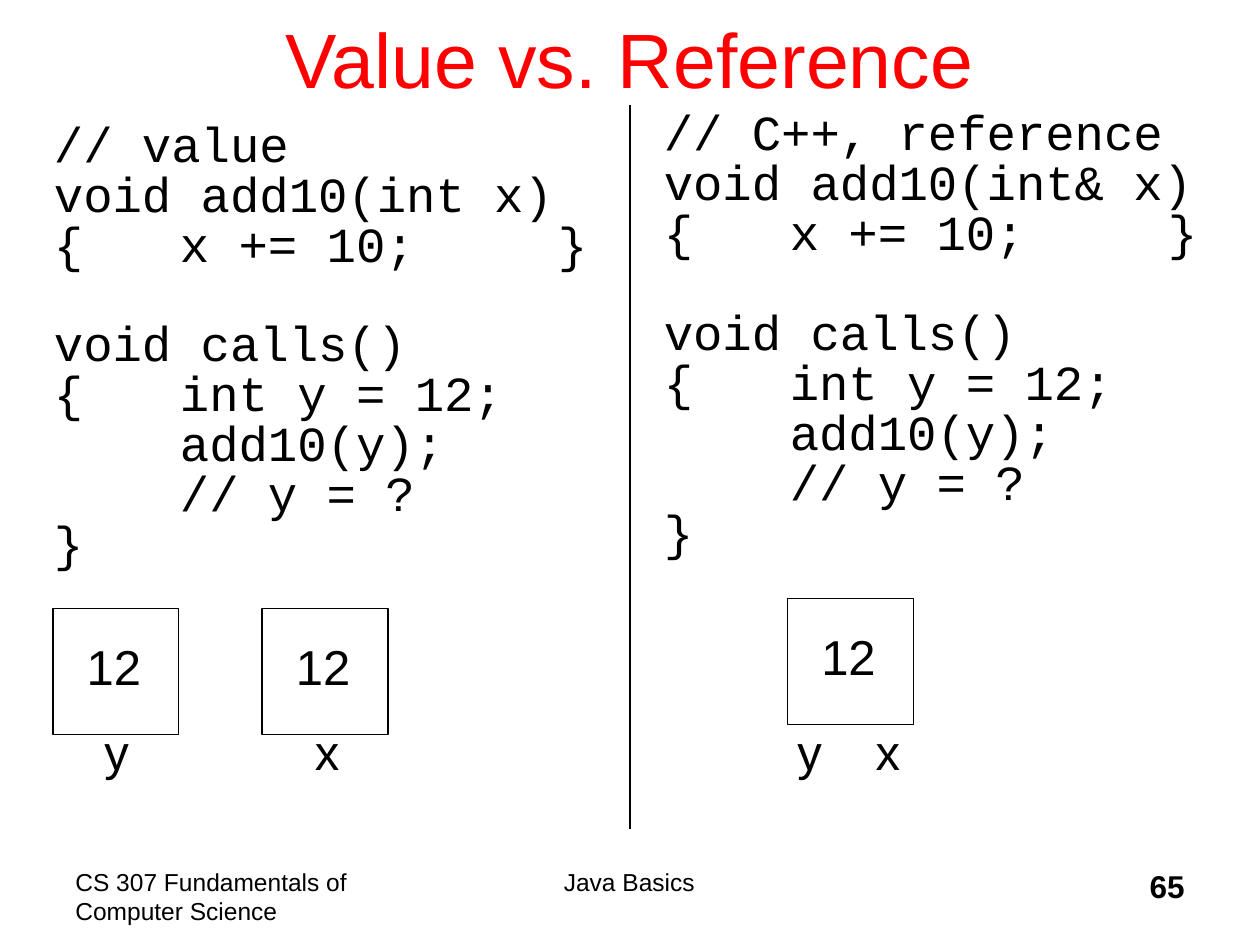
from pptx import Presentation
from pptx.dml.color import RGBColor
from pptx.enum.shapes import MSO_CONNECTOR, MSO_SHAPE
from pptx.enum.text import MSO_ANCHOR, MSO_AUTO_SIZE, PP_ALIGN
from pptx.oxml.ns import qn
from pptx.util import Inches, Pt
from lxml.etree import SubElement

COLORS = {"ink": "000000", "title": "FF0000"}

BODY_LINES = ["{\tx += 10;\t\t}", "void calls()", "{\tint y = 12;",
              "\tadd10(y);", "\t// y = ?", "}"]


class SlideBuilder:
    font = "Arial"
    code_font = "Courier New"
    size = 28
    line_width = Pt(0.75)

    def __init__(self, slide):
        self.slide = slide

    def color(self, name):
        return RGBColor.from_string(COLORS[name])

    def text(self, lines, left, top, width, height, size=size, font=font,
             color="ink", bold=False, align=PP_ALIGN.LEFT, wrap=True,
             grow=False, shapes=None):
        """Add a text box with one paragraph per line and return its frame."""
        shapes = shapes or self.slide.shapes
        tf = shapes.add_textbox(Inches(left), Inches(top),
                                Inches(width), Inches(height)).text_frame
        tf.word_wrap = wrap
        tf.auto_size = MSO_AUTO_SIZE.SHAPE_TO_FIT_TEXT if grow else MSO_AUTO_SIZE.NONE
        for i, line in enumerate(lines):
            p = tf.paragraphs[0] if i == 0 else tf.add_paragraph()
            p.alignment = align
            r = p.add_run()
            r.text = line
            r.font.size = Pt(size)
            r.font.name = font
            r.font.bold = bold
            r.font.color.rgb = self.color(color)
        return tf

    def title(self, text):
        tf = self.text([text], 0.75, -0.17, 8.5, 1.25, size=44,
                       color="title", align=PP_ALIGN.CENTER)
        tf.vertical_anchor = MSO_ANCHOR.MIDDLE

    def code(self, lines, left, top):
        """Add a code listing with a tab stop at every inch."""
        tf = self.text(lines, left, top, 4.52, 3.67, font=self.code_font, grow=True)
        for p in tf.paragraphs:
            p.line_spacing = 0.85
            if p.text == "void calls()":
                p.space_before = Pt(28.5)
            tabs = SubElement(p._p.get_or_add_pPr(), qn("a:tabLst"))
            for inch in range(8):
                SubElement(tabs, qn("a:tab"), pos=str(Inches(inch)), algn="l")

    def divider(self, x, top, bottom):
        line = self.slide.shapes.add_connector(
            MSO_CONNECTOR.STRAIGHT, Inches(x), Inches(top), Inches(x), Inches(bottom))
        line.line.color.rgb = self.color("ink")
        line.line.width = self.line_width
        SubElement(line._element.spPr, qn("a:effectLst"))

    def label(self, text, left, top, width, shapes):
        tf = self.text([text], left, top, width, 0.57, wrap=False, grow=True,
                       shapes=shapes)
        tf.paragraphs[0].space_before = Pt(7)

    def variable(self, value, left, top, names):
        """Group a memory cell with its value and names, given as {name: offset}."""
        shapes = self.slide.shapes.add_group_shape().shapes
        sp = shapes.add_shape(MSO_SHAPE.RECTANGLE, Inches(left), Inches(top),
                              Inches(1), Inches(1))
        sp.shadow.inherit = False
        sp.fill.background()
        sp.line.color.rgb = self.color("ink")
        sp.line.width = self.line_width
        self.label(value, left + 0.17, top + 0.17, 0.63, shapes)
        for name, offset in names.items():
            self.label(name, left + offset, 5.68, 0.39, shapes)


def main():
    prs = Presentation()
    prs.slide_width, prs.slide_height = Inches(10), Inches(7.5)
    s = SlideBuilder(prs.slides.add_slide(prs.slide_layouts[6]))

    s.text(["CS 307 Fundamentals of Computer Science"], 0.5, 6.83, 2.5, 0.5, size=14)
    s.text(["Java Basics"], 3.08, 6.83, 3.83, 0.5, size=14, align=PP_ALIGN.CENTER)
    s.text(["65"], 7.42, 6.83, 2.08, 0.5, size=18, bold=True, align=PP_ALIGN.RIGHT)
    s.title("Value vs. Reference")

    s.code(["// value", "void add10(int x)"] + BODY_LINES, 0.33, 0.92)
    s.code(["// C++, reference", "void add10(int& x)"] + BODY_LINES, 5.17, 0.83)
    s.divider(5, 0.83, 6.58)

    s.variable("12", 0.42, 4.83, {"y": 0.31})
    s.variable("12", 2.08, 4.83, {"x": 0.32})
    s.variable("12", 6.25, 4.75, {"y": -0.02, "x": 0.6})

    prs.save("out.pptx")


if __name__ == "__main__":
    main()
